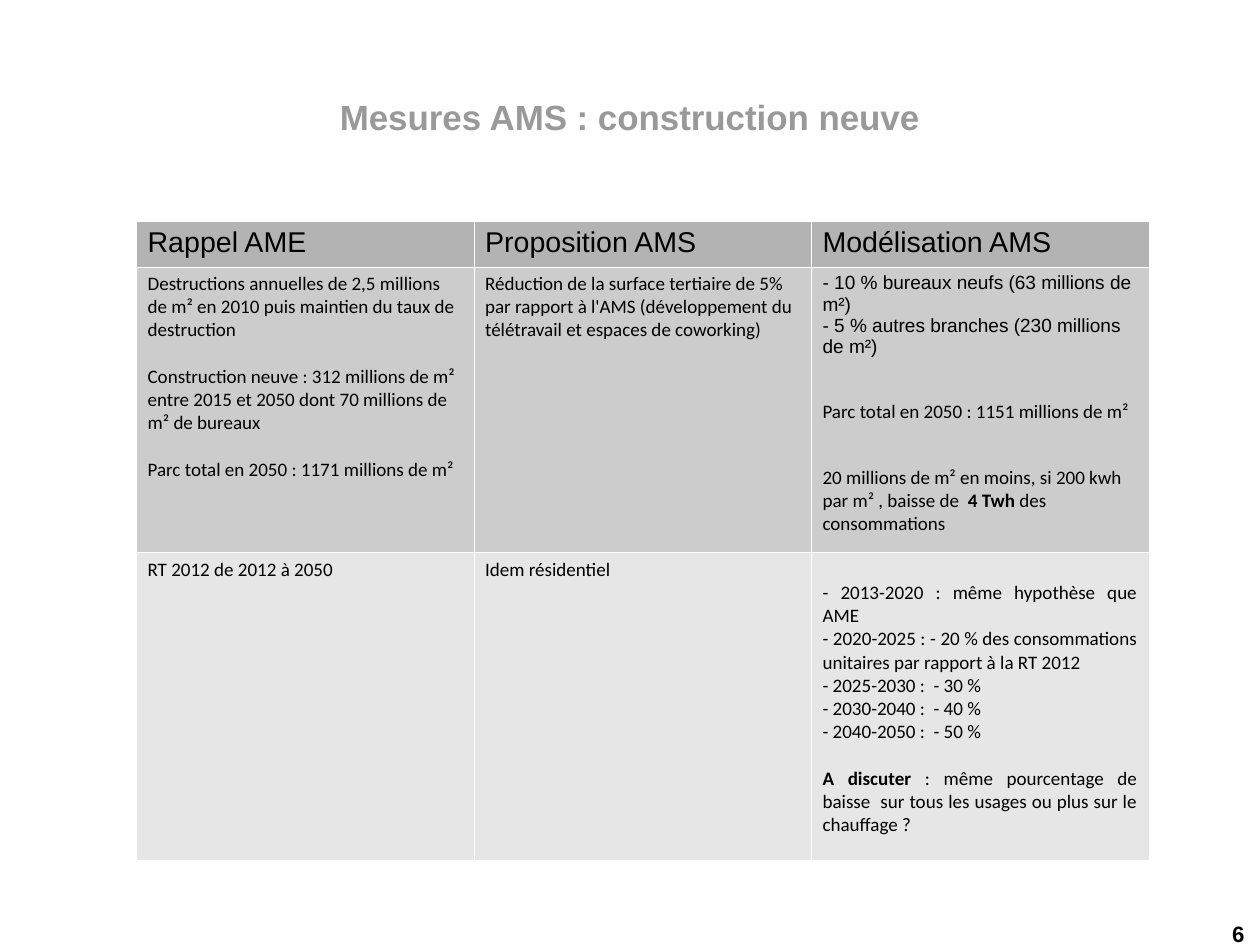
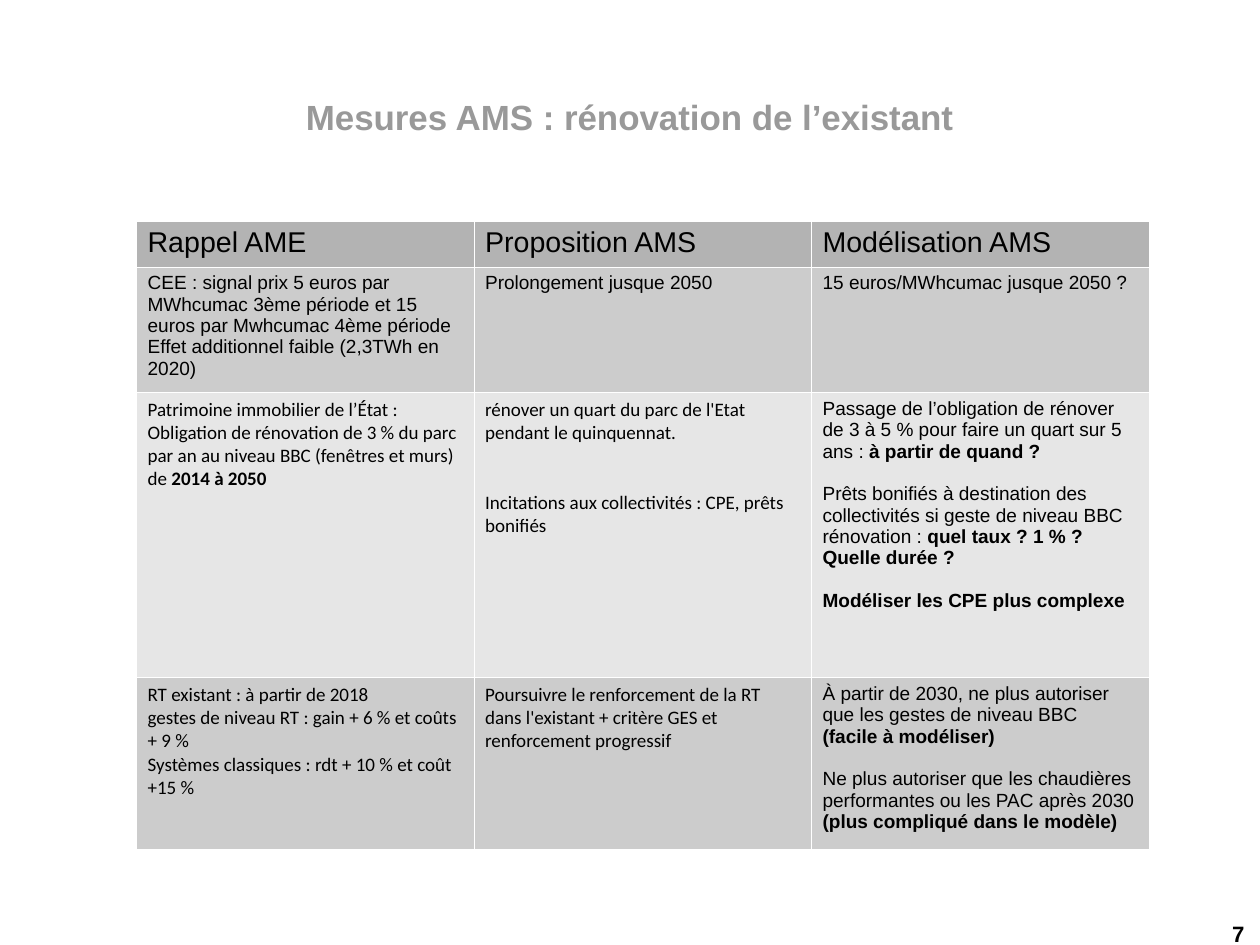
from dataclasses import dataclass

from lxml.etree import SubElement
from pptx import Presentation
from pptx.dml.color import RGBColor
from pptx.enum.text import MSO_ANCHOR, MSO_AUTO_SIZE, PP_ALIGN
from pptx.oxml.ns import qn
from pptx.util import Pt

BLACK = RGBColor(0x00, 0x00, 0x00)
TITLE_GREY = RGBColor(0x99, 0x99, 0x99)
HEADER_FILL = RGBColor(0xB3, 0xB3, 0xB3)
DARK_BAND = RGBColor(0xCC, 0xCC, 0xCC)
LIGHT_BAND = RGBColor(0xE6, 0xE6, 0xE6)
BORDER_COLOR = "FFFFFF"
BORDER_WIDTH = Pt(0.06)

ARIAL = "Arial"
CALIBRI = "Calibri"
ARIAL_LINE = 13.4
CALIBRI_LINE = 14.65
HEADER_HEIGHT = 28.8
COLUMN_WIDTH = 212.6
HEADERS = ["Rappel AME", "Proposition AMS", "Modélisation AMS"]


@dataclass
class Entry:
    text: str
    font: str = CALIBRI
    gap: float = 0
    align: PP_ALIGN = PP_ALIGN.LEFT
    size: int = 12


def add_runs(para, text, font, size, color, bold=False):
    for index, part in enumerate(text.split("**")):
        if part:
            span = para.add_run()
            span.text = part
            span.font.name = font
            span.font.size = Pt(size)
            span.font.bold = bold or index % 2 == 1
            span.font.color.rgb = color


def fill_cell(cell, entries, color):
    properties = cell._tc.get_or_add_tcPr()
    for side in ("a:lnL", "a:lnR", "a:lnT", "a:lnB"):
        line = SubElement(properties, qn(side), w=str(BORDER_WIDTH))
        SubElement(SubElement(line, qn("a:solidFill")), qn("a:srgbClr"), val=BORDER_COLOR)
    cell.fill.solid()
    cell.fill.fore_color.rgb = color
    cell.margin_left = cell.margin_right = Pt(7.2)
    cell.margin_top = Pt(3.6 + entries[0].gap)
    cell.margin_bottom = Pt(3.6)
    for index, entry in enumerate(entries):
        para = cell.text_frame.add_paragraph() if index else cell.text_frame.paragraphs[0]
        para.alignment = entry.align
        para.space_before = Pt(entry.gap if index else 0)
        add_runs(para, entry.text, entry.font, entry.size, BLACK)


JUSTIFY = PP_ALIGN.JUSTIFY

PAGES = [
    (
        6,
        "Mesures AMS : construction neuve",
        [
            (180, [
                [
                    Entry("Destructions annuelles de 2,5 millions de m² en 2010 puis maintien du taux de destruction"),
                    Entry("Construction neuve : 312 millions de m² entre 2015 et 2050 dont 70 millions de m² de bureaux",
                          gap=CALIBRI_LINE),
                    Entry("Parc total en 2050 : 1171 millions de m²", gap=CALIBRI_LINE),
                ],
                [Entry("Réduction de la surface tertiaire de 5% par rapport à l'AMS (développement du télétravail et espaces de coworking)")],
                [
                    Entry("- 10 % bureaux neufs (63 millions de m²)", ARIAL),
                    Entry("- 5 % autres branches (230 millions de m²)", ARIAL),
                    Entry("Parc total en 2050 : 1151 millions de m²", gap=2 * ARIAL_LINE),
                    Entry("20 millions de m² en moins, si 200 kwh par m² , baisse de  **4 Twh** des consommations",
                          gap=2 * ARIAL_LINE),
                ],
            ]),
            (193.8, [
                [Entry("RT 2012 de 2012 à 2050")],
                [Entry("Idem résidentiel")],
                [
                    Entry("- 2013-2020 : même hypothèse que AME", gap=CALIBRI_LINE, align=JUSTIFY),
                    Entry("- 2020-2025 : - 20 % des consommations unitaires par rapport à la RT 2012", align=JUSTIFY),
                    Entry("- 2025-2030 :  - 30 %", align=JUSTIFY),
                    Entry("- 2030-2040 :  - 40 %", align=JUSTIFY),
                    Entry("- 2040-2050 :  - 50 %", align=JUSTIFY),
                    Entry("**A discuter **: même pourcentage de baisse  sur tous les usages ou plus sur le chauffage ?",
                          gap=CALIBRI_LINE, align=JUSTIFY),
                ],
            ]),
        ],
    ),
    (
        7,
        "Mesures AMS : rénovation de l’existant",
        [
            (79.2, [
                [
                    Entry("CEE : signal prix 5 euros par MWhcumac 3ème période et 15 euros par Mwhcumac 4ème période", ARIAL),
                    Entry("Effet additionnel faible (2,3TWh en 2020)", ARIAL),
                ],
                [Entry("Prolongement jusque 2050", ARIAL)],
                [Entry("15 euros/MWhcumac jusque 2050 ?", ARIAL)],
            ]),
            (179.6, [
                [Entry("Patrimoine immobilier de l’État : Obligation de rénovation de 3 % du parc par an au niveau BBC (fenêtres et murs) de **2014 à 2050**")],
                [
                    Entry("rénover un quart du parc de l'Etat pendant le quinquennat."),
                    Entry("Incitations aux collectivités : CPE, prêts bonifiés", gap=2 * CALIBRI_LINE),
                ],
                [
                    Entry("Passage de l’obligation de rénover de 3 à 5 % pour faire un quart sur 5 ans :** à partir de quand ?**", ARIAL),
                    Entry("Prêts bonifiés à destination des collectivités si geste de niveau BBC rénovation : **quel taux ? 1 % ?**",
                          ARIAL, ARIAL_LINE),
                    Entry("**Quelle durée ?**", ARIAL),
                    Entry("**Modéliser les CPE plus complexe**", ARIAL, ARIAL_LINE),
                ],
            ]),
            (108.2, [
                [
                    Entry("RT existant : à partir de 2018"),
                    Entry("gestes de niveau RT : gain + 6 % et coûts + 9 %"),
                    Entry("Systèmes classiques : rdt + 10 % et coût +15 %"),
                ],
                [Entry("Poursuivre le renforcement de la RT dans l'existant + critère GES et renforcement progressif")],
                [
                    Entry("À partir de 2030, ne plus autoriser que les gestes de niveau BBC", ARIAL),
                    Entry("**(facile à modéliser)**", ARIAL),
                    Entry("Ne plus autoriser que les chaudières performantes ou les PAC après 2030", ARIAL, ARIAL_LINE),
                    Entry("**(plus compliqué dans le modèle)**", ARIAL),
                ],
            ]),
        ],
    ),
]

deck = Presentation()
deck.slide_width = Pt(793.75)
deck.slide_height = Pt(595.25)
title_only = deck.slide_layouts[5]

for number, heading, body_rows in PAGES:
    page = deck.slides.add_slide(title_only)

    title = page.shapes.title
    title.left, title.top, title.width, title.height = Pt(39.6), Pt(23.8), Pt(714.2), Pt(99.4)
    frame = title.text_frame
    frame.margin_left = frame.margin_top = frame.margin_right = frame.margin_bottom = 0
    frame.vertical_anchor = MSO_ANCHOR.MIDDLE
    frame.auto_size = MSO_AUTO_SIZE.NONE
    frame.paragraphs[0].alignment = PP_ALIGN.CENTER
    add_runs(frame.paragraphs[0], heading, ARIAL, 22, TITLE_GREY, bold=True)

    header_row = (HEADER_HEIGHT, [[Entry(label, ARIAL, size=18)] for label in HEADERS])
    rows = [header_row] + body_rows
    total_height = sum(height for height, cells in rows)
    table = page.shapes.add_table(
        len(rows), len(HEADERS), Pt(85.8), Pt(139.2), Pt(COLUMN_WIDTH * len(HEADERS)), Pt(total_height)
    ).table
    for column in table.columns:
        column.width = Pt(COLUMN_WIDTH)
    for row_index, (height, cells) in enumerate(rows):
        table.rows[row_index].height = Pt(height)
        band = DARK_BAND if row_index % 2 else LIGHT_BAND
        for column_index, entries in enumerate(cells):
            fill_cell(table.cell(row_index, column_index), entries, band if row_index else HEADER_FILL)

    number_box = page.shapes.add_textbox(Pt(712), Pt(579.4), Pt(72), Pt(15.8))
    frame = number_box.text_frame
    frame.word_wrap = True
    frame.margin_left = frame.margin_top = frame.margin_right = frame.margin_bottom = 0
    frame.paragraphs[0].alignment = PP_ALIGN.RIGHT
    add_runs(frame.paragraphs[0], str(number), ARIAL, 14, BLACK, bold=True)

deck.save("out.pptx")
